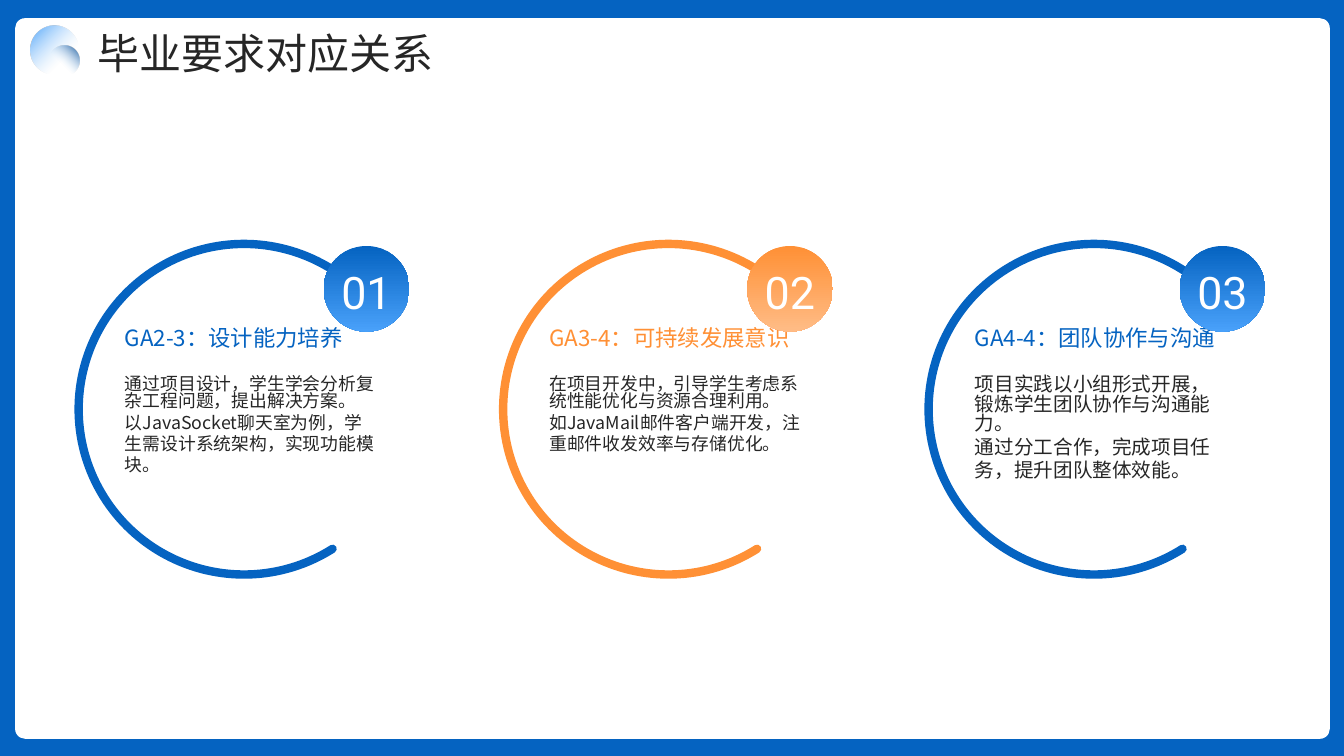
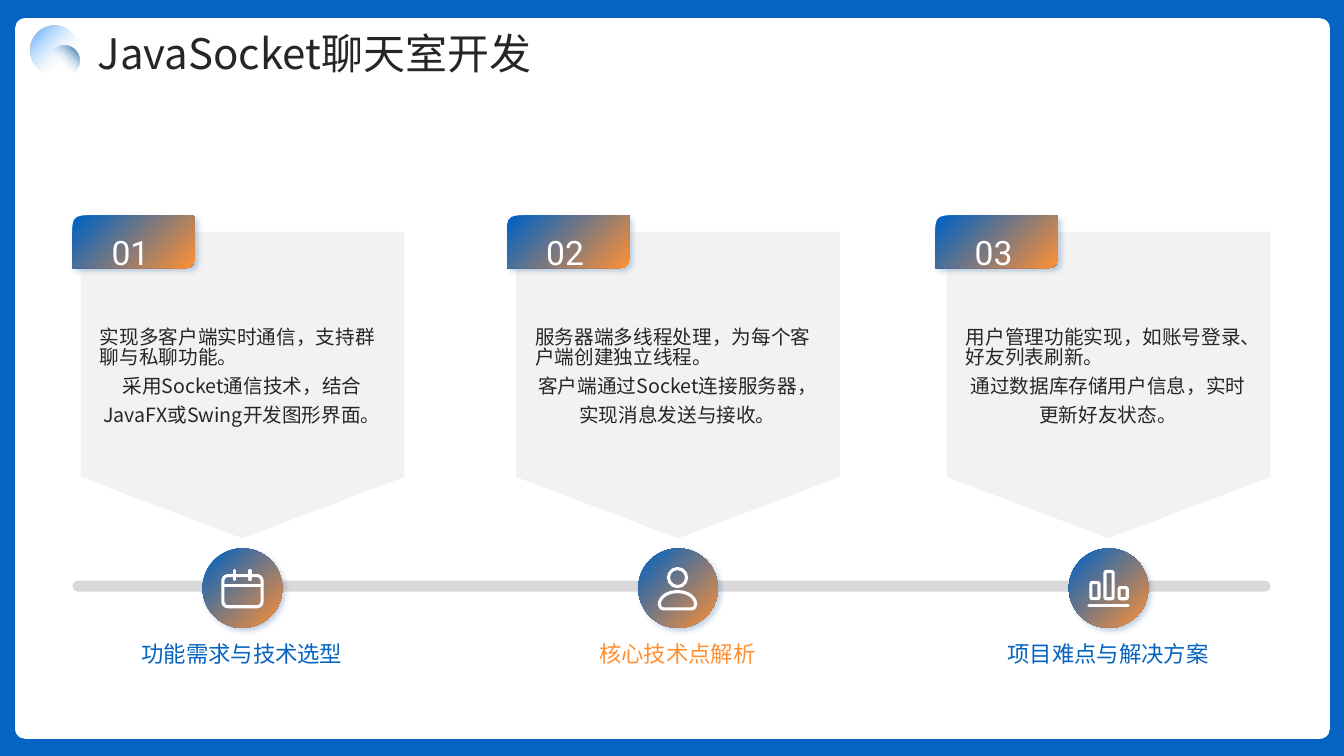
"""Build two course slides: graduation requirements and chat room development."""
from dataclasses import dataclass

from lxml import etree
from pptx import Presentation
from pptx.dml.color import RGBColor
from pptx.enum.shapes import MSO_CONNECTOR, MSO_SHAPE
from pptx.enum.text import MSO_ANCHOR, PP_ALIGN
from pptx.oxml import parse_xml
from pptx.oxml.ns import nsdecls, qn
from pptx.util import Inches, Pt

RECT, ROUND, OVAL, ARC = (
    MSO_SHAPE.RECTANGLE, MSO_SHAPE.ROUNDED_RECTANGLE, MSO_SHAPE.OVAL, MSO_SHAPE.ARC)
CARD = MSO_SHAPE.FLOWCHART_OFFPAGE_CONNECTOR
TAB = MSO_SHAPE.ROUND_2_DIAG_RECTANGLE
STRAIGHT = MSO_CONNECTOR.STRAIGHT
LEFT, CENTER = PP_ALIGN.LEFT, PP_ALIGN.CENTER
TOP, MIDDLE = MSO_ANCHOR.TOP, MSO_ANCHOR.MIDDLE


@dataclass(frozen=True)
class Theme:
    """Colours, fonts and type sizes shared by the slides."""
    blue: str = "0563C1"
    sky: str = "49A1FA"
    pale: str = "C2E0FD"
    navy: str = "044A91"
    orange: str = "FF9035"
    peach: str = "FFBC86"
    white: str = "FFFFFF"
    ink: str = "262626"
    card: str = "F2F2F2"
    bar: str = "D9D9D9"
    text_font: str = "Noto Sans CJK SC"
    number_font: str = "Roboto"
    title: float = 30
    heading: float = 16
    body: float = 14
    small: float = 12.7
    badge: float = 32
    tab: float = 24
    icon_line: float = 2.2
    ring_line: float = 6


THEME = Theme()
BLUE_BADGE = [(0, THEME.blue, 100), (100, THEME.sky, 100)]
ORANGE_BADGE = [(0, THEME.orange, 100), (100, THEME.peach, 100)]
BLUE_TO_ORANGE = [(4, THEME.blue, 100), (100, THEME.orange, 100)]
MARKS = [
    ((0.3, 0.26, 0.48, 0.48), [(31, THEME.pale, 0), (100, THEME.sky, 100)], (100, 100, 0, 0)),
    ((0.49, 0.45, 0.3, 0.3), [(40, THEME.pale, 0), (100, THEME.navy, 100)], (0, 100, 100, 0)),
]

REQUIREMENTS_TITLE = "毕业要求对应关系"
REQUIREMENTS = [
    dict(ring=0.78, badge=3.21, width=2.71, size=THEME.small, color=THEME.blue,
         stops=BLUE_BADGE, heading="GA2-3：设计能力培养",
         lines=("通过项目设计，学生学会分析复杂工程问题，提出解决方案。",
                "以JavaSocket聊天室为例，学生需设计系统架构，实现功能模块。")),
    dict(ring=4.99, badge=7.41, width=2.81, size=THEME.small, color=THEME.orange,
         stops=ORANGE_BADGE, heading="GA3-4：可持续发展意识",
         lines=("在项目开发中，引导学生考虑系统性能优化与资源合理利用。",
                "如JavaMail邮件客户端开发，注重邮件收发效率与存储优化。")),
    dict(ring=9.21, badge=11.7, width=2.71, size=THEME.body, color=THEME.blue,
         stops=BLUE_BADGE, heading="GA4-4：团队协作与沟通",
         lines=("项目实践以小组形式开展，锻炼学生团队协作与沟通能力。",
                "通过分工合作，完成项目任务，提升团队整体效能。")),
]

CHAT_TITLE = "JavaSocket聊天室开发"
CALENDAR = dict(
    boxes=[(ROUND, 0.2, 0.27, 0.39, 0.31)],
    strokes=[(0.2, 0.37, 0.59, 0.37), (0.32, 0.22, 0.32, 0.31), (0.47, 0.22, 0.47, 0.31)])
PERSON = dict(
    boxes=[(OVAL, 0.3, 0.2, 0.18, 0.18)],
    curves=[((0.39, 0.43), (0.48, 0.43), (0.55, 0.47), (0.57, 0.54)),
            ((0.57, 0.54), (0.57, 0.57), (0.56, 0.6), (0.53, 0.6)),
            ((0.25, 0.6), (0.22, 0.6), (0.21, 0.57), (0.21, 0.54)),
            ((0.21, 0.54), (0.23, 0.47), (0.3, 0.43), (0.39, 0.43))])
BARS = dict(
    boxes=[(ROUND, 0.22, 0.34, 0.08, 0.16), (ROUND, 0.36, 0.23, 0.08, 0.27),
           (ROUND, 0.5, 0.39, 0.08, 0.11)],
    strokes=[(0.2, 0.57, 0.59, 0.57)])
STAGES = [
    dict(card=0.8, tab=0.72, color=THEME.blue, icon=CALENDAR, label="功能需求与技术选型",
         lines=("实现多客户端实时通信，支持群聊与私聊功能。",
                "采用Socket通信技术，结合JavaFX或Swing开发图形界面。")),
    dict(card=5.12, tab=5.03, color=THEME.orange, icon=PERSON, label="核心技术点解析",
         lines=("服务器端多线程处理，为每个客户端创建独立线程。",
                "客户端通过Socket连接服务器，实现消息发送与接收。")),
    dict(card=9.39, tab=9.28, color=THEME.blue, icon=BARS, label="项目难点与解决方案",
         lines=("用户管理功能实现，如账号登录、好友列表刷新。",
                "通过数据库存储用户信息，实时更新好友状态。")),
]


def set_line(shape, color, width):
    """Give an outline or a connector a round-capped line."""
    shape.line.color.rgb = RGBColor.from_string(color)
    shape.line.width = Pt(width)
    shape.line._get_or_add_ln().set("cap", "rnd")


def add_shape(slide, kind, area, fill=None, line=None, adjust=()):
    """Add a flat preset shape; line is a colour and a width."""
    shape = slide.shapes.add_shape(kind, *map(Inches, area))
    shape.shadow.inherit = False
    for index, value in enumerate(adjust):
        shape.adjustments[index] = value
    if fill:
        shape.fill.solid()
        shape.fill.fore_color.rgb = RGBColor.from_string(fill)
    else:
        shape.fill.background()
    if line:
        set_line(shape, *line)
    else:
        shape.line.fill.background()
    return shape


def set_gradient(shape, stops, angle=0, focus=None):
    """Replace the empty fill by a linear gradient, or a radial one with a focus."""
    marks = "".join(
        f'<a:gs pos="{place * 1000}"><a:srgbClr val="{color}">'
        f'<a:alpha val="{alpha * 1000}"/></a:srgbClr></a:gs>'
        for place, color, alpha in stops)
    if focus:
        sides = " ".join(f'{side}="{value * 1000}"' for side, value in zip("ltrb", focus))
        course = f'<a:path path="circle"><a:fillToRect {sides}/></a:path>'
    else:
        course = f'<a:lin ang="{angle * 60000}" scaled="0"/>'
    gradient = parse_xml(
        f'<a:gradFill {nsdecls("a")} rotWithShape="1"><a:gsLst>{marks}</a:gsLst>{course}</a:gradFill>')
    properties = shape._element.spPr
    properties.replace(properties.find(qn("a:noFill")), gradient)


def set_shadow(shape):
    """Add a soft navy shadow to the lower right."""
    shape._element.spPr.find(qn("a:effectLst")).append(parse_xml(
        f'<a:outerShdw {nsdecls("a")} blurRad="{Pt(4)}" dist="{Pt(3)}" dir="2700000">'
        f'<a:srgbClr val="{THEME.navy}"><a:alpha val="23000"/></a:srgbClr></a:outerShdw>'))


def write(shape, paragraphs, size, color, font=THEME.text_font, anchor=TOP, inset=(0, 0)):
    """Fill a shape with paragraphs of text, alignment and line spacing."""
    frame = shape.text_frame
    across, down = map(Inches, inset)
    layout = dict(word_wrap=True, vertical_anchor=anchor, margin_left=across,
                  margin_right=across, margin_top=down, margin_bottom=down)
    for name, value in layout.items():
        setattr(frame, name, value)
    for index, (text, alignment, spacing) in enumerate(paragraphs):
        para = frame.add_paragraph() if index else frame.paragraphs[0]
        para.alignment, para.line_spacing = alignment, spacing
        span = para.add_run()
        span.text = text
        for name, value in dict(size=Pt(size), name=font).items():
            setattr(span.font, name, value)
        span.font.color.rgb = RGBColor.from_string(color)
        etree.SubElement(span._r.get_or_add_rPr(), qn("a:ea")).set("typeface", font)


def add_text(slide, area, paragraphs, size, color, **options):
    """Add a text box."""
    write(slide.shapes.add_textbox(*map(Inches, area)), paragraphs, size, color, **options)


def add_page(deck, title):
    """Add a slide with the blue frame, the title and the round mark."""
    page = deck.slides.add_slide(deck.slide_layouts[6])
    add_shape(page, RECT, (0, 0, 13.33, 7.5), THEME.blue)
    add_shape(page, ROUND, (0.15, 0.18, 13.04, 7.15), THEME.white, adjust=[0.014])
    add_text(page, (0.97, 0.21, 11.42, 0.6), [(title, LEFT, 1.13)], THEME.title, THEME.ink)
    for area, stops, focus in MARKS:
        set_gradient(add_shape(page, OVAL, area), stops, focus=focus)
    return page


def add_icon(page, left, top, boxes=(), strokes=(), curves=()):
    """Draw a white line icon from outlines, strokes and closed curves."""
    pen = (THEME.white, THEME.icon_line)
    for kind, across, down, width, height in boxes:
        add_shape(page, kind, (left + across, top + down, width, height), line=pen)
    for x1, y1, x2, y2 in strokes:
        ends = (left + x1, top + y1, left + x2, top + y2)
        stroke = page.shapes.add_connector(STRAIGHT, *map(Inches, ends))
        set_line(stroke, *pen)
        etree.SubElement(stroke._element.spPr, qn("a:effectLst"))
    points = []
    for curve in curves:
        for step in range(9):
            t = step / 8
            weights = ((1 - t) ** 3, 3 * t * (1 - t) ** 2, 3 * t * t * (1 - t), t ** 3)
            x, y = (sum(w * v for w, v in zip(weights, axis)) for axis in zip(*curve))
            points.append((Inches(left + x), Inches(top + y)))
    if points:
        builder = page.shapes.build_freeform(*points[0], scale=1.0)
        builder.add_line_segments(points[1:], close=True)
        outline = builder.convert_to_shape()
        outline.shadow.inherit = False
        outline.fill.background()
        set_line(outline, *pen)


def add_requirement(page, number, item):
    """Draw an open ring with its badge, heading and text."""
    add_shape(page, ARC, (item["ring"], 2.42, 3.28, 3.28),
              line=(item["color"], THEME.ring_line), adjust=[34.56, 188.7])
    left, width, inset = item["ring"] + 0.36, item["width"], (0.1, 0.05)
    first, second = item["lines"]
    add_text(page, (left, 3.68, width, 1.37), [(first, LEFT, 0.83), (second, LEFT, 1.0)],
             item["size"], THEME.ink, inset=inset)
    add_text(page, (left, 3.17, width, 0.51), [(item["heading"], LEFT, 1.0)],
             THEME.heading, item["color"], inset=inset)
    badge = add_shape(page, OVAL, (item["badge"], 2.44, 0.85, 0.85))
    set_gradient(badge, item["stops"], angle=90)
    write(badge, [(f"{number:02}", CENTER, 1.1)], THEME.badge, THEME.white,
          font=THEME.number_font, anchor=MIDDLE)


def add_stage(page, number, item):
    """Draw a card with its tab, text, timeline icon and label."""
    card, tab = item["card"], item["tab"]
    add_shape(page, CARD, (card, 2.3, 3.21, 3.04), THEME.card)
    spot_left, spot_top = card + 1.21, 5.44
    for kind, area in ((OVAL, (spot_left, spot_top, 0.79, 0.79)), (TAB, (tab, 2.14, 1.21, 0.52))):
        shape = add_shape(page, kind, area)
        set_gradient(shape, BLUE_TO_ORANGE, angle=45)
        set_shadow(shape)
    add_icon(page, spot_left, spot_top, **item["icon"])
    add_text(page, (tab + 0.26, 2.04, 0.63, 0.73), [(f"{number:02}", CENTER, 1.5)],
             THEME.tab, THEME.white, font=THEME.number_font, anchor=MIDDLE)
    first, second = item["lines"]
    add_text(page, (card + 0.19, 2.78, 2.82, 1.94),
             [(first, LEFT, 0.83), (second, CENTER, 1.24)], THEME.body, THEME.ink, anchor=MIDDLE)
    add_text(page, (card + 0.19, 6.28, 2.82, 0.54), [(item["label"], CENTER, 1.27)],
             THEME.heading, item["color"])


def main():
    """Build and save the deck."""
    deck = Presentation()
    deck.slide_width, deck.slide_height = Inches(13.33), Inches(7.5)
    page = add_page(deck, REQUIREMENTS_TITLE)
    for number, item in enumerate(REQUIREMENTS, 1):
        add_requirement(page, number, item)
    page = add_page(deck, CHAT_TITLE)
    add_shape(page, ROUND, (0.72, 5.76, 11.88, 0.11), THEME.bar, adjust=[0.5])
    for number, item in enumerate(STAGES, 1):
        add_stage(page, number, item)
    deck.save("out.pptx")


if __name__ == "__main__":
    main()
